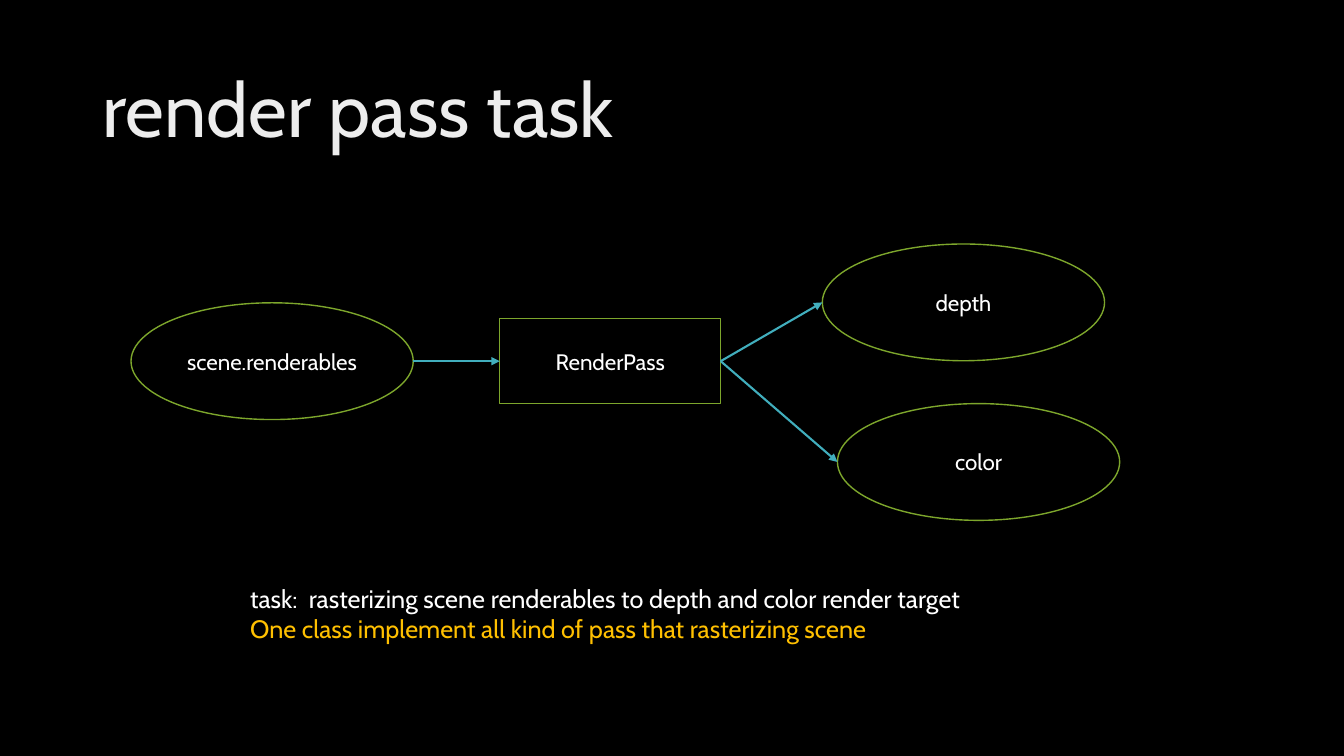
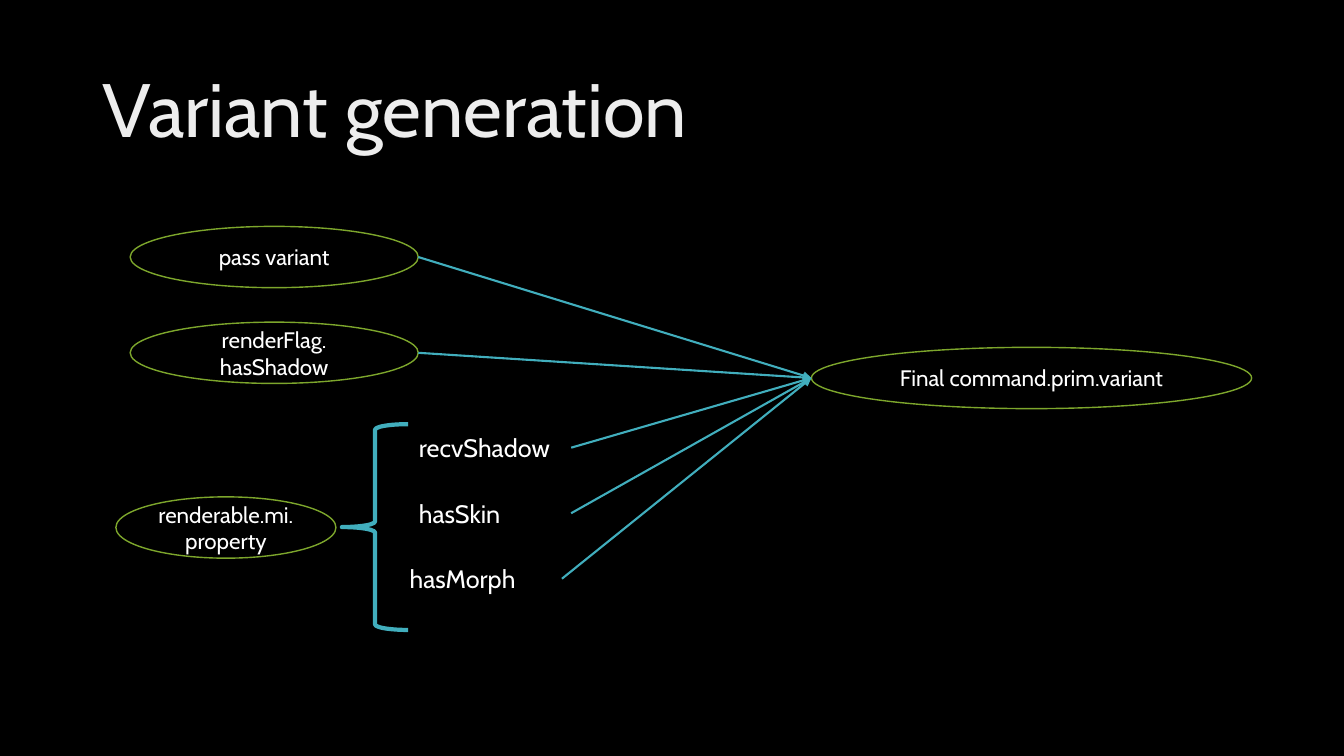
import dataclasses

import pptx
import pptx.dml.color
import pptx.enum.shapes
import pptx.enum.text
import pptx.oxml.ns
import pptx.util
from lxml import etree

SHAPE = pptx.enum.shapes.MSO_SHAPE
ANCHOR = pptx.enum.text.MSO_ANCHOR
ALIGN = pptx.enum.text.PP_ALIGN


@dataclasses.dataclass(frozen=True)
class Theme:
    """Colours, type sizes (points) and line widths (points)."""
    font: str = "Cabin"
    background: str = "000000"
    title: str = "EDEDED"
    text: str = "FFFFFF"
    highlight: str = "FFC000"
    outline: str = "7DA62C"
    flow: str = "41AEBD"
    title_size: int = 54
    body_size: int = 18
    node_size: int = 16
    outline_width: float = 1
    arrow_width: float = 1.5
    brace_width: float = 3


THEME = Theme()
COLS, ROWS = 160, 90  # grid of square cells over a 13.33 x 7.5 inch slide


def rgb(value):
    return pptx.dml.color.RGBColor.from_string(value)


def write(shape, lines, size, colors=(THEME.text,), align=ALIGN.LEFT,
          anchor=ANCHOR.TOP, spacing=1.0):
    """Write one paragraph per line; the last colour serves all later lines."""
    tf = shape.text_frame
    tf.word_wrap = True
    tf.vertical_anchor = anchor
    for i, line in enumerate(lines):
        p = tf.add_paragraph() if i else tf.paragraphs[0]
        p.alignment = align
        p.line_spacing = spacing
        r = p.add_run()
        r.text = line
        r.font.name = THEME.font
        r.font.size = pptx.util.Pt(size)
        r.font.color.rgb = rgb(colors[min(i, len(colors) - 1)])


class Deck:
    """Holds the presentation and the current slide; lengths are grid cells."""

    def __init__(self):
        self.prs = pptx.Presentation()
        self.prs.slide_width = pptx.util.Inches(13.33)
        self.prs.slide_height = pptx.util.Inches(7.5)
        self.s = None

    def x(self, cols):
        return round(self.prs.slide_width * cols / COLS)

    def y(self, rows):
        return round(self.prs.slide_height * rows / ROWS)

    def box(self, left, top, width, height):
        return self.x(left), self.y(top), self.x(width), self.y(height)

    def slide(self, title):
        self.s = self.prs.slides.add_slide(self.prs.slide_layouts[6])
        fill = self.s.background.fill
        fill.solid()
        fill.fore_color.rgb = rgb(THEME.background)
        self.text([title], 11, 4.8, 138, 17.4, size=THEME.title_size,
                  colors=(THEME.title,), anchor=ANCHOR.MIDDLE, spacing=0.9)

    def text(self, lines, left, top, width, height, size=THEME.body_size,
             **style):
        sp = self.s.shapes.add_textbox(*self.box(left, top, width, height))
        write(sp, lines, size, **style)
        return sp

    def outline(self, kind, left, top, width, height, color, weight):
        sp = self.s.shapes.add_shape(kind, *self.box(left, top, width, height))
        sp.shadow.inherit = False
        sp.fill.background()
        sp.line.color.rgb = rgb(color)
        sp.line.width = pptx.util.Pt(weight)
        return sp

    def node(self, lines, left, middle, width, height, kind=SHAPE.OVAL):
        """Outlined shape centred on the row `middle`."""
        sp = self.outline(kind, left, middle - height / 2, width, height,
                          THEME.outline, THEME.outline_width)
        write(sp, lines, THEME.node_size, align=ALIGN.CENTER,
              anchor=ANCHOR.MIDDLE)
        return sp

    def brace(self, left, top, width, height):
        self.outline(SHAPE.LEFT_BRACE, left, top, width, height,
                     THEME.flow, THEME.brace_width)

    def arrow(self, source, target):
        """Arrow from the right middle of source to the left middle of target."""
        line = self.s.shapes.add_connector(
            pptx.enum.shapes.MSO_CONNECTOR.STRAIGHT,
            source.left + source.width, source.top + source.height // 2,
            target.left, target.top + target.height // 2)
        line.line.color.rgb = rgb(THEME.flow)
        line.line.width = pptx.util.Pt(THEME.arrow_width)
        qn = pptx.oxml.ns.qn
        etree.SubElement(line.line._get_or_add_ln(), qn("a:tailEnd"),
                         type="triangle")
        etree.SubElement(line._element.spPr, qn("a:effectLst"))


def render_pass(deck):
    deck.slide("render pass task")
    width, height = 33.6, 13.9

    # Input, pass and outputs
    scene = deck.node(["scene.renderables"], 15.6, 43, width, height)
    task = deck.node(["RenderPass"], 59.5, 43, 26.3, 10.1, SHAPE.RECTANGLE)
    depth = deck.node(["depth"], 97.9, 36, width, height)
    color = deck.node(["color"], 99.7, 55, width, height)
    for source, target in ((scene, task), (task, depth), (task, color)):
        deck.arrow(source, target)

    # Explanation
    deck.text(["task:  rasterizing scene renderables to depth and color render target",
               "One class implement all kind of pass that rasterizing scene"],
              28.6, 68.8, 88.2, 8.5, colors=(THEME.text, THEME.highlight))


def variant_generation(deck):
    deck.slide("Variant generation")
    height = 7.3

    # Sources and the final variant
    sources = [
        deck.node(["pass variant"], 15.5, 30.6, 34.3, height),
        deck.node(["renderFlag.", "hasShadow"], 15.5, 42, 34.3, height),
    ]
    deck.node(["renderable.mi.", "property"], 13.8, 62.8, 26.2, height)
    final = deck.node(["Final command.prim.variant"], 96.6, 45, 52.4, height)

    # Properties of the renderable
    deck.brace(40.7, 50.5, 7.9, 24.5)
    properties = (("recvShadow", 48.7), ("hasSkin", 48.7), ("hasMorph", 47.6))
    for i, (name, left) in enumerate(properties):
        sources.append(deck.text([name], left, 50.9 + 7.8 * i, 19.3, 4.8))

    for source in sources:
        deck.arrow(source, final)


def main():
    deck = Deck()
    render_pass(deck)
    variant_generation(deck)
    deck.prs.save("out.pptx")


if __name__ == "__main__":
    main()
